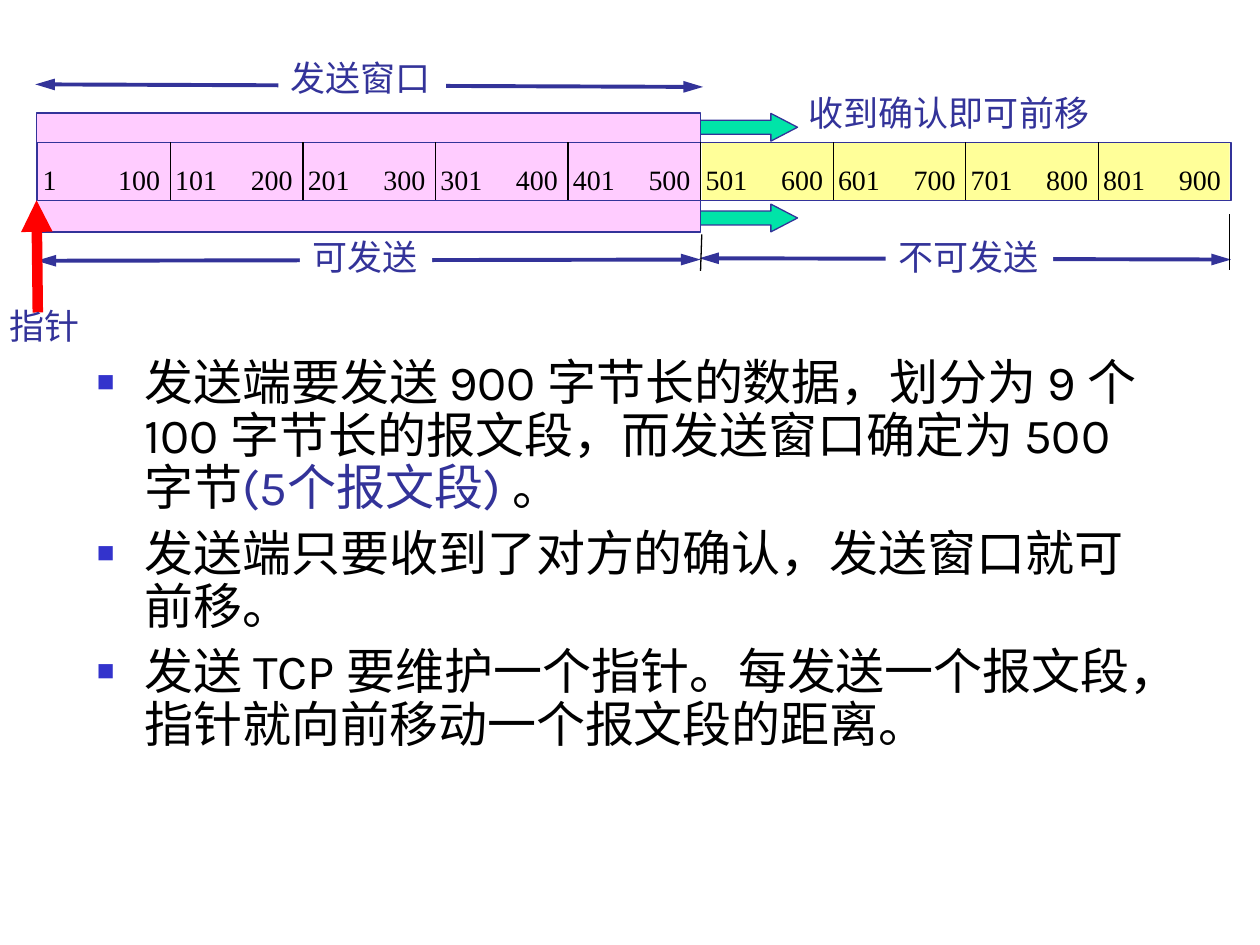
from dataclasses import dataclass

import pptx
import pptx.dml.color
import pptx.enum.shapes
import pptx.enum.text
import pptx.oxml.ns
import pptx.util
from lxml import etree

Inches = pptx.util.Inches
Pt = pptx.util.Pt
qn = pptx.oxml.ns.qn
SHAPES = pptx.enum.shapes.MSO_SHAPE

COLORS = {
    "ink": "000000", "indigo": "333399", "bullet": "3333CC", "window": "FFCCFF",
    "blocked": "FFFF99", "advance": "00E4A8", "pointer": "FF0000", "paper": "FFFFFF",
}
CJK = "Noto Sans CJK SC"
LABEL_FONT = {"name": CJK, "size": Pt(20)}
NUMBER_FONT = {"name": "Times New Roman", "size": Pt(16)}
BODY_FONT = {"name": "Karla", "size": Pt(28)}
LABEL_FRAME = {"word_wrap": False,
               "auto_size": pptx.enum.text.MSO_AUTO_SIZE.SHAPE_TO_FIT_TEXT}

SEGMENTS, SEGMENT_BYTES = 9, 100
ROW_LEFT, ROW_TOP, ROW_WIDTH, ROW_HEIGHT = 0.3, 1.13, 9.47, 0.46
SEGMENT_WIDTH = ROW_WIDTH / SEGMENTS


@dataclass
class Block:
    left: float
    top: float
    width: float
    height: float
    fill: str | None = None
    outline: str | None = None
    weight: float = 0.75
    kind: SHAPES = SHAPES.RECTANGLE


@dataclass
class Line:
    start: tuple[float, float]
    end: tuple[float, float]
    color: str = "ink"
    weight: float = 0.75
    heads: tuple[str, ...] = ()
    head_length: str = "lg"


@dataclass
class Label:
    text: str
    left: float
    top: float
    width: float
    height: float = 0.39
    spacing: float = 0.85
    fill: str | None = None


def rgb(color: str) -> pptx.dml.color.RGBColor:
    return pptx.dml.color.RGBColor.from_string(COLORS[color])


def draw_block(slide, block: Block):
    shape = slide.shapes.add_shape(
        block.kind, Inches(block.left), Inches(block.top),
        Inches(block.width), Inches(block.height))
    shape.shadow.inherit = False
    if block.fill:
        shape.fill.solid()
        shape.fill.fore_color.rgb = rgb(block.fill)
    else:
        shape.fill.background()
    if block.outline:
        shape.line.color.rgb = rgb(block.outline)
        shape.line.width = Pt(block.weight)
    else:
        shape.line.fill.background()
    return shape


def draw_line(slide, line: Line) -> None:
    connector = slide.shapes.add_connector(
        pptx.enum.shapes.MSO_CONNECTOR.STRAIGHT,
        *(Inches(value) for value in line.start + line.end))
    connector.line.color.rgb = rgb(line.color)
    connector.line.width = Pt(line.weight)
    outline = connector.line._get_or_add_ln()
    for head in line.heads:
        etree.SubElement(outline, qn(f"a:{head}"), type="triangle",
                         w="med", len=line.head_length)
    etree.SubElement(connector._element.spPr, qn("a:effectLst"))


def set_attributes(target, values: dict) -> None:
    for attribute, value in values.items():
        setattr(target, attribute, value)


def add_run(paragraph, text: str, font: dict, color: str) -> None:
    run = paragraph.add_run()
    run.text = text
    set_attributes(run.font, font)
    run.font.color.rgb = rgb(color)
    etree.SubElement(run._r.get_or_add_rPr(), qn("a:ea"), typeface=CJK)


def draw_label(slide, label: Label, font: dict = LABEL_FONT, color: str = "indigo") -> None:
    box = slide.shapes.add_textbox(
        Inches(label.left), Inches(label.top), Inches(label.width), Inches(label.height))
    if label.fill:
        box.fill.solid()
        box.fill.fore_color.rgb = rgb(label.fill)
    set_attributes(box.text_frame, LABEL_FRAME)
    paragraph = box.text_frame.paragraphs[0]
    paragraph.line_spacing = label.spacing
    add_run(paragraph, label.text, font, color)


def add_bullet(paragraph) -> None:
    properties = paragraph._p.get_or_add_pPr()
    properties.set("marL", str(Inches(0.38)))
    properties.set("indent", str(Inches(-0.38)))
    bullet_color = etree.SubElement(properties, qn("a:buClr"))
    etree.SubElement(bullet_color, qn("a:srgbClr"), val=COLORS["bullet"])
    etree.SubElement(properties, qn("a:buSzPct"), val="60000")
    etree.SubElement(properties, qn("a:buFont"), typeface="Times New Roman")
    etree.SubElement(properties, qn("a:buChar"), char="■")


def draw_segments(slide) -> None:
    """Divide the row and number the first and last byte of each segment."""
    for index in range(1, SEGMENTS):
        x = ROW_LEFT + index * SEGMENT_WIDTH
        draw_line(slide, Line((x, ROW_TOP), (x, ROW_TOP + ROW_HEIGHT)))
    for index in range(SEGMENTS):
        first, last = index * SEGMENT_BYTES + 1, (index + 1) * SEGMENT_BYTES
        offset = index * SEGMENT_WIDTH
        width = 0.53 if index else 0.31
        for number, left, size in ((first, 0.24, width), (last, 0.84, 0.53)):
            draw_label(slide, Label(str(number), left + offset, 1.24, size, 0.37, 1.0),
                       NUMBER_FONT, "ink")


def draw_explanation(slide) -> None:
    points = [
        [("发送端要发送 900 字节长的数据，划分为 9 个 100 字节长的报文段，"
          "而发送窗口确定为 500 字节", "ink"), ("(5个报文段) ", "indigo"), ("。", "ink")],
        [("发送端只要收到了对方的确认，发送窗口就可前移。", "ink")],
        [("发送 TCP 要维护一个指针。每发送一个报文段，"
          "指针就向前移动一个报文段的距离。", "ink")],
    ]
    frame = slide.shapes.add_textbox(
        Inches(0.67), Inches(2.79), Inches(8.5), Inches(3.87)).text_frame
    frame.word_wrap = True
    for index, runs in enumerate(points):
        paragraph = frame.add_paragraph() if index else frame.paragraphs[0]
        add_bullet(paragraph)
        paragraph.line_spacing = 0.9
        paragraph.space_before = Pt(7 if index else 0)
        for text, color in runs:
            add_run(paragraph, text, BODY_FONT, color)


def main() -> None:
    presentation = pptx.Presentation()
    presentation.slide_width, presentation.slide_height = Inches(10), Inches(7.5)
    slide = presentation.slides.add_slide(presentation.slide_layouts[6])

    draw_block(slide, Block(5.57, ROW_TOP, 4.19, ROW_HEIGHT, "blocked"))
    for top in (1.62, 0.9):
        arrow = draw_block(slide, Block(5.5, top, 0.83, 0.22, "advance", "indigo",
                                        kind=SHAPES.RIGHT_ARROW))
        arrow.adjustments[1] = 0.96
    draw_label(slide, Label("收到确认即可前移", 6.32, 0.73, 2.45))
    draw_block(slide, Block(0.29, 0.9, 5.27, 0.94, "window", "indigo", 1))
    draw_block(slide, Block(ROW_LEFT, ROW_TOP, ROW_WIDTH, ROW_HEIGHT, None, "indigo"))
    draw_segments(slide)

    for start, end in (((0.28, 0.67), (5.58, 0.69)),
                       ((0.29, 2.07), (5.56, 2.06)),
                       ((5.55, 2.05), (9.77, 2.06))):
        draw_line(slide, Line(start, end, "indigo", 2.25, ("headEnd", "tailEnd")))
    for label in (Label("发送窗口", 2.21, 0.4, 1.33, 0.44, 1.0, "paper"),
                  Label("可发送", 2.38, 1.87, 1.05, fill="paper"),
                  Label("不可发送", 7.03, 1.87, 1.33, fill="paper")):
        draw_label(slide, label)
    draw_line(slide, Line((5.57, 1.86), (5.56, 2.15)))
    draw_line(slide, Line((9.76, 1.7), (9.76, 2.14)))

    draw_line(slide, Line((0.3, 2.48), (0.29, 1.59), "pointer", 6, ("tailEnd",), "med"))
    draw_label(slide, Label("指针", -0.02, 2.42, 0.78))
    draw_explanation(slide)
    presentation.save("out.pptx")


if __name__ == "__main__":
    main()
